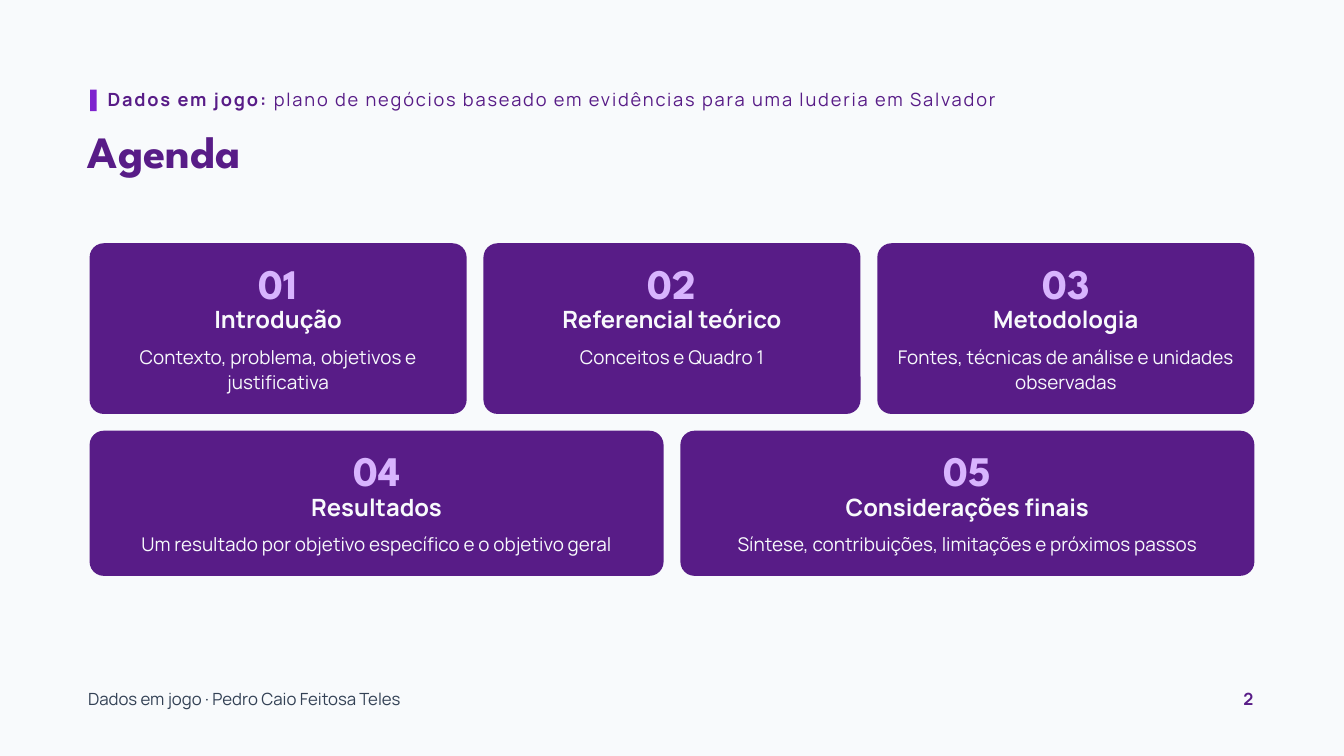
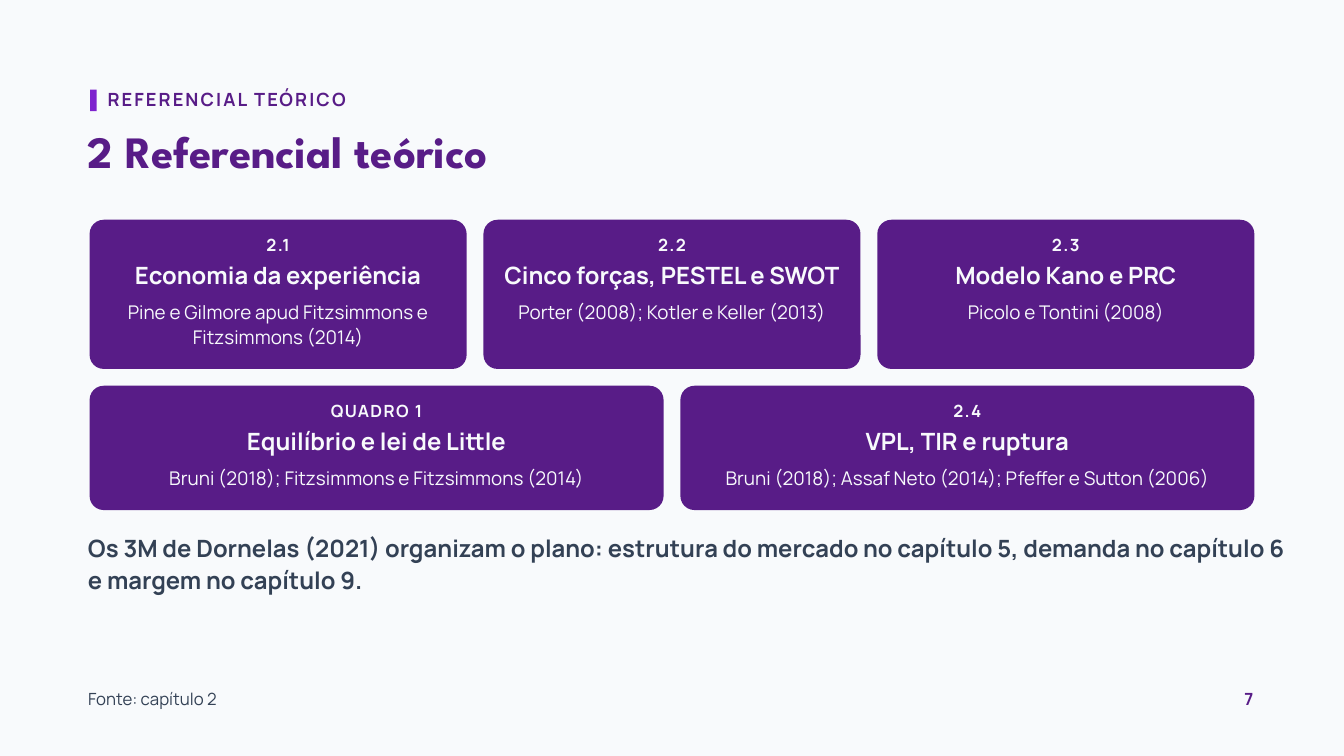
from pptx import Presentation
from pptx.dml.color import RGBColor as RGB
from pptx.enum.shapes import MSO_SHAPE as SHAPE
from pptx.enum.text import MSO_AUTO_SIZE as AUTO, PP_ALIGN as ALIGN
from pptx.util import Inches as In, Pt

# Shared colours and fonts
PAPER, PLUM, VIVID, LILAC, SLATE = "F8FAFC", "581C87", "7E22CE", "D8B4FE", "334155"
HEAD, BODY = "League Spartan", "Manrope"

# Shared grid
WIDE, HIGH = 20, 11.25
LEFT = WIDE / 15
SPAN = WIDE - 2 * LEFT
GAP, ROUND, INSET = 0.25, 0.21, 0.2
EDGE = 1.31  # left side of the free text

# Text styles: font, size, line height, colour, bold, letter spacing
KICK = (BODY, 19.5, 23.4, PLUM, True, 2.2)
LEAD = (BODY, 19.5, 23.4, PLUM, True, 1.95)
TAIL = (BODY, 19.5, 23.4, PLUM, False, 1.95)
TITLE = (HEAD, 48, 52.8, PLUM, True, 0)
COUNT = (HEAD, 45, 45, LILAC, True, 0)
LABEL = (BODY, 18, 21.6, PAPER, True, 1.5)
TOPIC = (BODY, 25.5, 30.6, PAPER, True, 0)
NOTE = (BODY, 20.25, 27.3, PAPER, False, 0)
CLAIM = (BODY, 25.5, 34.4, SLATE, True, 0)
FOOT = (BODY, 18, 21.6, SLATE, False, 0)
PAGE = (BODY, 18, 21.6, PLUM, True, 0)


def block(slide, kind, x, y, w, h, tint):
    shape = slide.shapes.add_shape(kind, In(x), In(y), In(w), In(h))
    shape.shadow.inherit = False
    shape.fill.solid()
    shape.fill.fore_color.rgb = RGB.from_string(tint)
    shape.line.fill.background()
    return shape


def write(slide, x, y, w, h, runs, align=ALIGN.LEFT):
    frame = slide.shapes.add_textbox(In(x), In(y), In(w), In(h)).text_frame
    frame.margin_left = frame.margin_right = frame.margin_top = frame.margin_bottom = 0
    frame.word_wrap = True
    frame.auto_size = AUTO.SHAPE_TO_FIT_TEXT
    para = frame.paragraphs[0]
    para.alignment = align
    for text, (face, size, lead, tint, bold, space) in runs:
        para.line_spacing = Pt(lead)
        run = para.add_run()
        run.text = text
        run.font.name, run.font.size, run.font.bold = face, Pt(size), bold
        run.font.color.rgb = RGB.from_string(tint)
        if space:
            run._r.get_or_add_rPr().set("spc", str(round(space * 100)))


# Slide content; a row is its height and its cards,
# steps are the offsets of the three texts inside a card
agenda = dict(
    kick=[("Dados em jogo: ", LEAD),
          ("plano de negócios baseado em evidências para uma luderia em Salvador", TAIL)],
    title="Agenda", top=3.62, mark=COUNT, steps=(0.33, 0.92, 1.48),
    rows=[
        (2.54, [("01", "Introdução", "Contexto, problema, objetivos e justificativa"),
                ("02", "Referencial teórico", "Conceitos e Quadro 1"),
                ("03", "Metodologia", "Fontes, técnicas de análise e unidades observadas")]),
        (2.16, [("04", "Resultados", "Um resultado por objetivo específico e o objetivo geral"),
                ("05", "Considerações finais",
                 "Síntese, contribuições, limitações e próximos passos")]),
    ],
    claim="", foot="Dados em jogo · Pedro Caio Feitosa Teles", page="2")

theory = dict(
    kick=[("REFERENCIAL TEÓRICO", KICK)],
    title="2 Referencial teórico", top=3.27, mark=LABEL, steps=(0.22, 0.61, 1.16),
    rows=[
        (2.22, [("2.1", "Economia da experiência",
                 "Pine e Gilmore apud Fitzsimmons e Fitzsimmons (2014)"),
                ("2.2", "Cinco forças, PESTEL e SWOT", "Porter (2008); Kotler e Keller (2013)"),
                ("2.3", "Modelo Kano e PRC", "Picolo e Tontini (2008)")]),
        (1.85, [("QUADRO 1", "Equilíbrio e lei de Little",
                 "Bruni (2018); Fitzsimmons e Fitzsimmons (2014)"),
                ("2.4", "VPL, TIR e ruptura",
                 "Bruni (2018); Assaf Neto (2014); Pfeffer e Sutton (2006)")]),
    ],
    claim="Os 3M de Dornelas (2021) organizam o plano: estrutura do mercado no capítulo 5, "
          "demanda no capítulo 6 e margem no capítulo 9.",
    foot="Fonte: capítulo 2", page="7")

# Deck with one background for all slides
deck = Presentation()
deck.slide_width, deck.slide_height = In(WIDE), In(HIGH)
paper = deck.slide_master.background.fill
paper.solid()
paper.fore_color.rgb = RGB.from_string(PAPER)

for plan in (agenda, theory):
    slide = deck.slides.add_slide(deck.slide_layouts[6])

    # Header
    block(slide, SHAPE.RECTANGLE, 1.34, LEFT, 0.1, 0.32, VIVID)
    write(slide, 1.6, EDGE, 14.55, 0.34, plan["kick"])
    write(slide, EDGE, 1.91, 18.07, 0.75, [(plan["title"], TITLE)])

    # Rows of cards, each filling the full width
    y = plan["top"]
    for high, cards in plan["rows"]:
        wide = (SPAN - GAP * (len(cards) - 1)) / len(cards)
        for col, texts in enumerate(cards):
            x = LEFT + col * (wide + GAP)
            card = block(slide, SHAPE.ROUNDED_RECTANGLE, x, y, wide, high, PLUM)
            card.adjustments[0] = ROUND / high
            styles = (plan["mark"], TOPIC, NOTE)
            for text, style, step in zip(texts, styles, plan["steps"]):
                write(slide, x + INSET, y + step, wide - 2 * INSET, style[2] / 72,
                      [(text, style)], ALIGN.CENTER)
        y += high + GAP

    # Closing claim
    if plan["claim"]:
        write(slide, EDGE, 7.89, 18.07, 0.96, [(plan["claim"], CLAIM)])

    # Footer
    write(slide, EDGE, 10.25, 5.12, 0.31, [(plan["foot"], FOOT)])
    write(slide, 18.15, 10.25, 0.5, 0.31, [(plan["page"], PAGE)], ALIGN.RIGHT)

deck.save("out.pptx")
